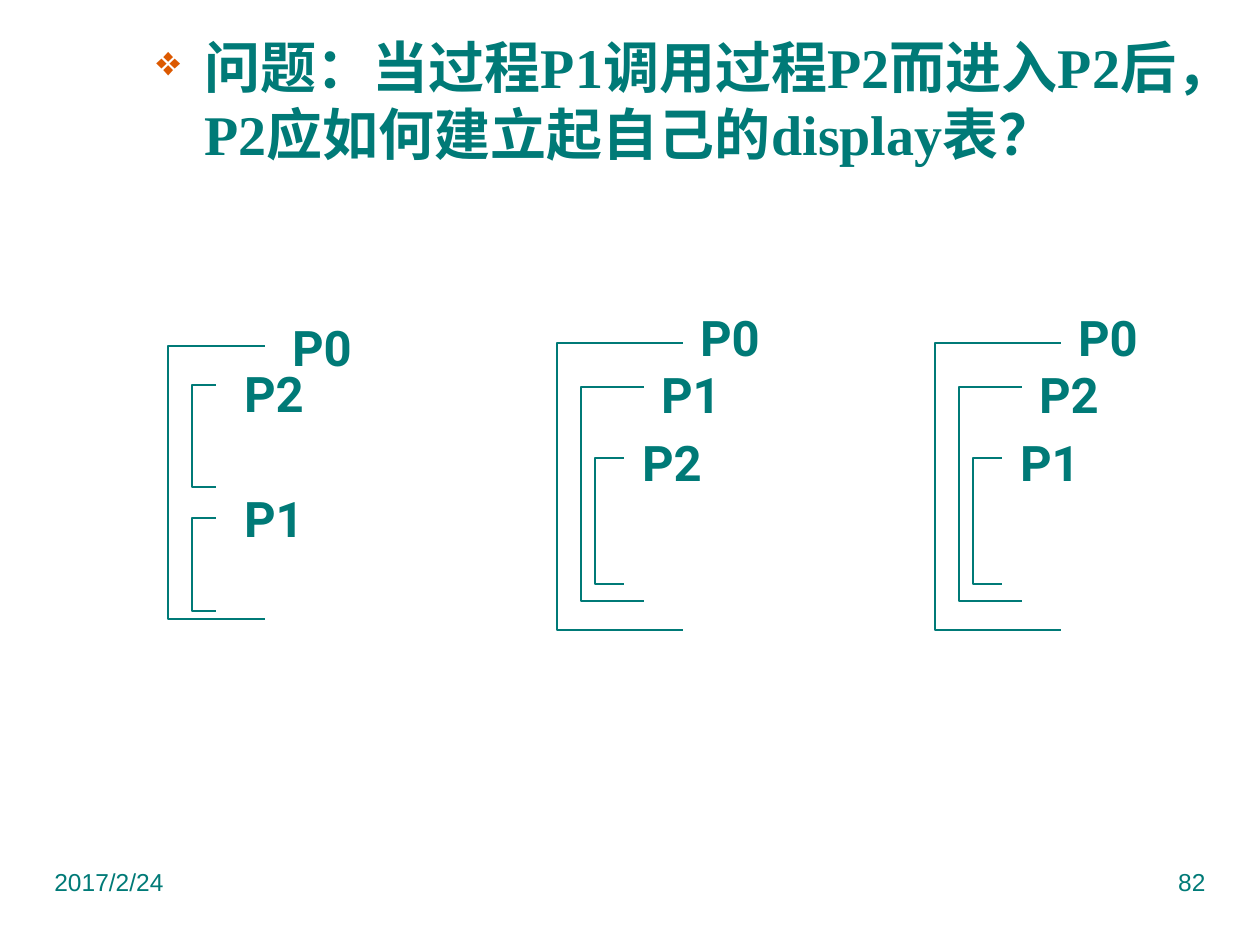
from lxml import etree
from pptx import Presentation, util as u
from pptx.dml.color import RGBColor
from pptx.enum import text
from pptx.oxml.ns import qn

HUES = {"teal": "007A77", "rust": "DC5900"}
SCALE = 914400 / 126


def px(size):
    """Turn px into EMU."""
    return u.Emu(round(size * SCALE))


class Slide:
    """Style and current slide, with a method for each kind of element."""

    def __init__(self, deck):
        """Add a blank slide to the deck."""
        self.slide = deck.slides.add_slide(deck.slide_layouts[6])
        self.ink = RGBColor.from_string(HUES["teal"])

    def words(self, home, box, line, size, font, bold=False, align=None, wrap=True,
              anchor=text.MSO_ANCHOR.TOP):
        """Add a text box and return its paragraph."""
        frame = home.add_textbox(*map(px, box)).text_frame
        frame.word_wrap = wrap
        frame.vertical_anchor = anchor
        para = frame.paragraphs[0]
        para.alignment = align
        run = para.add_run()
        run.text = line
        run.font.size = u.Pt(size)
        run.font.name = font
        run.font.bold = bold
        run.font.color.rgb = self.ink
        return para

    def bullet(self, para, mark, indent):
        """Give a paragraph a coloured bullet and a hanging indent."""
        props = para._p.get_or_add_pPr()
        props.set("marL", str(px(indent)))
        props.set("indent", str(-px(indent)))
        hue = etree.SubElement(props, qn("a:buClr"))
        etree.SubElement(hue, qn("a:srgbClr"), val=HUES["rust"])
        etree.SubElement(props, qn("a:buSzPct"), val="75000")
        etree.SubElement(props, qn("a:buChar"), char=mark)

    def bracket(self, home, x, y, wide, high):
        """Draw a bracket open to the right."""
        pen = home.build_freeform(x + wide, y, scale=SCALE)
        pen.add_line_segments([(x, y), (x, y + high), (x + wide, y + high)], close=False)
        shape = pen.convert_to_shape()
        shape.shadow.inherit = False
        shape.fill.background()
        shape.line.color.rgb = self.ink
        shape.line.width = u.Pt(1.5)

    def label(self, home, x, y, name):
        """Add a centred procedure name."""
        self.words(home, (x, y, 114, 64), name, 28, "Roboto", True,
                   text.PP_ALIGN.CENTER, False, text.MSO_ANCHOR.MIDDLE)

    def scopes(self, left, top, parts, names):
        """Group nested brackets with the names of their procedures."""
        home = self.slide.shapes.add_group_shape().shapes
        for (x, y, wide, high, *_), name in zip(parts, names):
            self.bracket(home, left + x, top + y, wide, high)
        for (*_, x, y), name in zip(parts, names):
            self.label(home, left + x, top + y, name)


def main():
    """Build the slide."""
    deck = Presentation()
    deck.slide_width, deck.slide_height = px(1260), px(945)
    page = Slide(deck)
    home = page.slide.shapes
    page.words(home, (42, 861, 315, 66), "2017/2/24", 14, "Arial")
    page.words(home, (903, 861, 315, 66), "82", 14, "Arial", align=text.PP_ALIGN.RIGHT)
    para = page.words(home, (144, 26, 1092, 158),
                      "问题：当过程P1调用过程P2而进入P2后，P2应如何建立起自己的display表？",
                      32, "Times New Roman", True)
    page.bullet(para, "❖", 48)

    beside = [(0, 0, 97, 273, 97, -31), (24, 39, 24, 102, 49, 15), (24, 172, 24, 93, 49, 140)]
    nested = [(0, 0, 126, 287, 116, -38), (24, 44, 63, 214, 77, 19), (38, 115, 29, 126, 58, 87)]
    page.scopes(168, 346, beside, ["P0", "P2", "P1"])
    page.scopes(557, 343, nested, ["P0", "P1", "P2"])
    page.scopes(935, 343, nested, ["P0", "P2", "P1"])
    deck.save("out.pptx")


if __name__ == "__main__":
    main()
